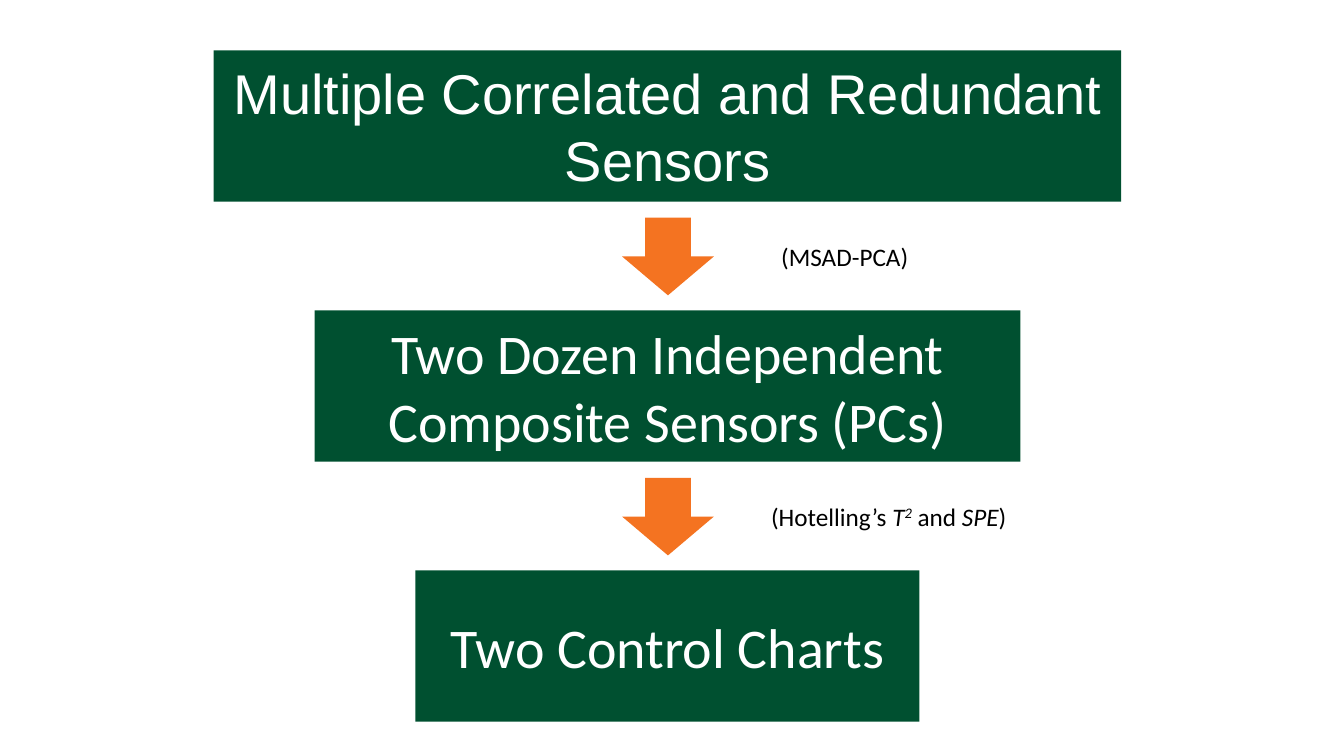
"""Build a slide that funnels many sensors down to two control charts."""
from pptx import Presentation
from pptx.dml.color import RGBColor
from pptx.enum.shapes import MSO_SHAPE
from pptx.enum.text import MSO_ANCHOR, MSO_AUTO_SIZE, PP_ALIGN
from pptx.util import Pt

PX = 9144
CENTER, TOP, STEP = 662, 50, 258
BOX_H, ARROW_W, ARROW_H = 150, 91, 77
ARROW_GAP, LABEL_GAP = 16, 34


def style_font(font, name, size, color):
    font.name = name
    font.size = Pt(size)
    font.color.rgb = RGBColor.from_string(color)


def add_filled(kind, x, y, w, h, color):
    sp = s.shapes.add_shape(kind, x * PX, y * PX, w * PX, h * PX)
    sp.shadow.inherit = False
    sp.fill.solid()
    sp.fill.fore_color.rgb = RGBColor.from_string(color)
    sp.line.fill.background()
    return sp


prs = Presentation()
prs.slide_width, prs.slide_height = 1333 * PX, 750 * PX
s = prs.slides.add_slide(prs.slide_layouts[6])

stages = [
    ("Multiple Correlated and Redundant Sensors", 900, "Arial"),
    ("Two Dozen Independent Composite Sensors (PCs)", 700, "Calibri"),
    ("Two Control Charts", 500, "Calibri"),
]
for i, (text, width, font) in enumerate(stages):
    sp = add_filled(MSO_SHAPE.RECTANGLE, CENTER - width // 2, TOP + i * STEP,
                    width, BOX_H, "005030")
    tf = sp.text_frame
    tf.word_wrap = True
    tf.vertical_anchor = MSO_ANCHOR.MIDDLE
    tf.text = text
    p = tf.paragraphs[0]
    p.alignment = PP_ALIGN.CENTER
    style_font(p.runs[0].font, font, 40, "FFFFFF")

methods = [
    (765, 147, [("(MSAD-PCA)", False, 0)]),
    (755, 257, [("(Hotelling’s ", False, 0), ("T", True, 0), ("2", True, 30),
                (" and ", False, 0), ("SPE", True, 0), (")", False, 0)]),
]
for i, (x, width, runs) in enumerate(methods):
    y = TOP + i * STEP + BOX_H
    add_filled(MSO_SHAPE.DOWN_ARROW, CENTER - ARROW_W // 2, y + ARROW_GAP,
               ARROW_W, ARROW_H, "F47321")
    sp = s.shapes.add_textbox(x * PX, (y + LABEL_GAP) * PX, width * PX, 40 * PX)
    tf = sp.text_frame
    tf.word_wrap = False
    tf.auto_size = MSO_AUTO_SIZE.SHAPE_TO_FIT_TEXT
    for text, italic, raised in runs:
        r = tf.paragraphs[0].add_run()
        r.text = text
        style_font(r.font, "Calibri", 18, "000000")
        r.font.italic = italic
        if raised:
            r._r.get_or_add_rPr().set("baseline", str(raised * 1000))

prs.save("out.pptx")
